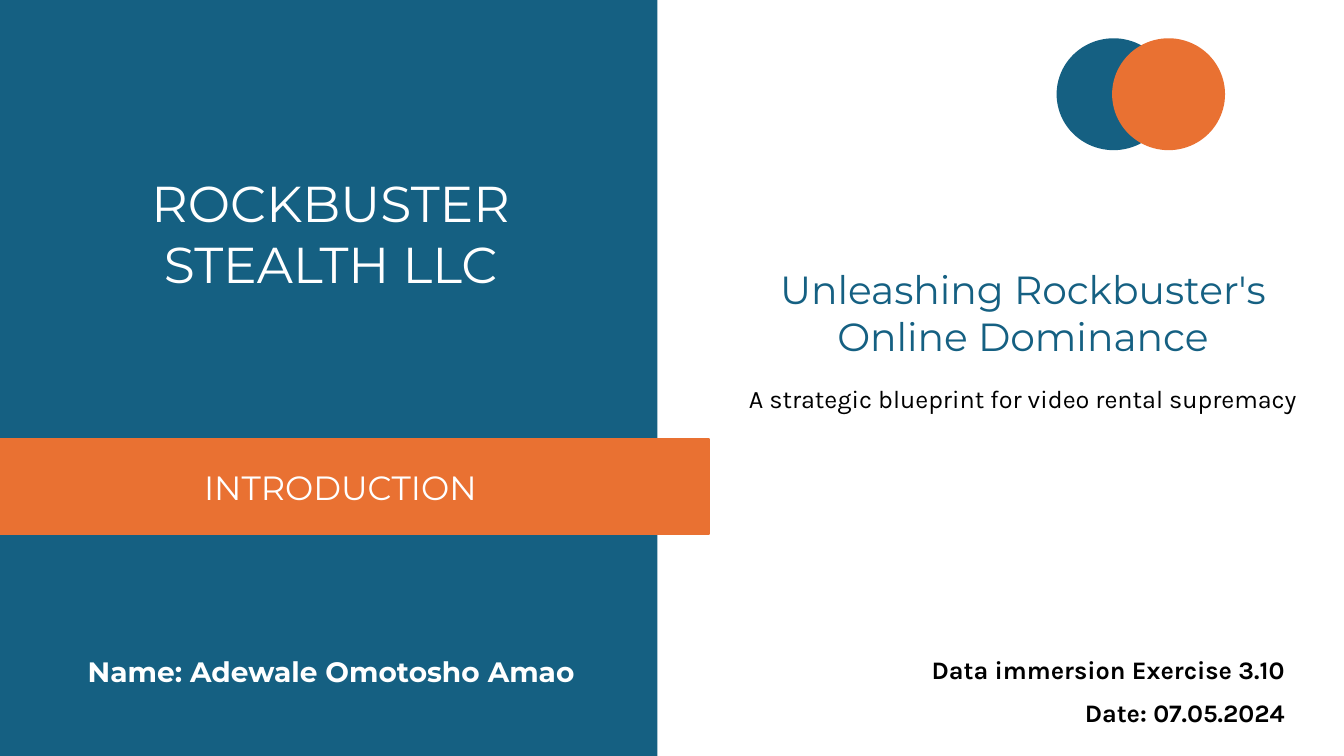
from pptx import Presentation
from pptx.dml.color import RGBColor
from pptx.enum import shapes, text
from pptx.util import Inches, Pt

THEME = {
    "blue": "156082", "orange": "E97132", "white": "FFFFFF", "black": "000000",
    "heading": "Montserrat", "body": "Karla",
    "title": 36, "headline": 28, "section": 24, "author": 20, "detail": 18,
}

PANELS = [
    ("RECTANGLE", (0, 0, 6.52, 7.5), "blue", False),
    ("RECTANGLE", (0, 4.36, 7.03, 0.94), "orange", True),
]
CIRCLES = [
    ("OVAL", (10.48, 0.38, 1.13, 1.11), "blue", False),
    ("OVAL", (11.03, 0.38, 1.12, 1.11), "orange", False),
]
TEXTS = [
    (["INTRODUCTION"], (0.47, 4.58, 5.81, 0.5),
     "CENTER", "section", "heading", "white", False),
    (["Unleashing Rockbuster's Online Dominance"], (7.24, 2.58, 5.81, 1.03),
     "CENTER", "headline", "heading", "blue", False),
    (["ROCKBUSTER STEALTH LLC"], (0.28, 1.66, 6, 1.31),
     "CENTER", "title", "heading", "white", False),
    (["A strategic blueprint for video rental supremacy"], (7.24, 3.75, 5.81, 0.4),
     "CENTER", "detail", "body", "black", False),
    (["Data immersion Exercise 3.10", "Date: 07.05.2024"], (7.03, 6.42, 5.81, 0.85),
     "RIGHT", "detail", "body", "black", True),
    (["Name: Adewale Omotosho Amao"], (0.38, 6.42, 5.81, 0.44),
     "CENTER", "author", "heading", "white", True),
]


def color(name):
    return RGBColor.from_string(THEME[name])


def add_block(slide, kind, box, fill, outlined):
    preset = getattr(shapes.MSO_SHAPE, kind)
    shape = slide.shapes.add_shape(preset, *map(Inches, box))
    shape.shadow.inherit = False
    shape.fill.solid()
    shape.fill.fore_color.rgb = color(fill)
    if outlined:
        shape.line.color.rgb = color(fill)
        shape.line.width = Pt(1.5)
    else:
        shape.line.fill.background()


def add_text(slide, lines, box, align, size, font, ink, footer):
    frame = slide.shapes.add_textbox(*map(Inches, box)).text_frame
    frame.word_wrap = True
    frame.auto_size = text.MSO_AUTO_SIZE.SHAPE_TO_FIT_TEXT
    for index, line in enumerate(lines):
        paragraph = frame.add_paragraph() if index else frame.paragraphs[0]
        paragraph.alignment = getattr(text.PP_ALIGN, align)
        if footer:
            paragraph.line_spacing = 1.07
            paragraph.space_after = Pt(8)
        run = paragraph.add_run()
        run.text = line
        run.font.name = THEME[font]
        run.font.size = Pt(THEME[size])
        run.font.bold = footer
        run.font.color.rgb = color(ink)


def main():
    presentation = Presentation()
    presentation.slide_width = Inches(13.33)
    presentation.slide_height = Inches(7.5)
    slide = presentation.slides.add_slide(presentation.slide_layouts[6])
    slide.background.fill.solid()
    slide.background.fill.fore_color.rgb = color("white")
    for panel in PANELS:
        add_block(slide, *panel)
    for entry in TEXTS:
        add_text(slide, *entry)
    for circle in CIRCLES:
        add_block(slide, *circle)
    presentation.save("out.pptx")


if __name__ == "__main__":
    main()
